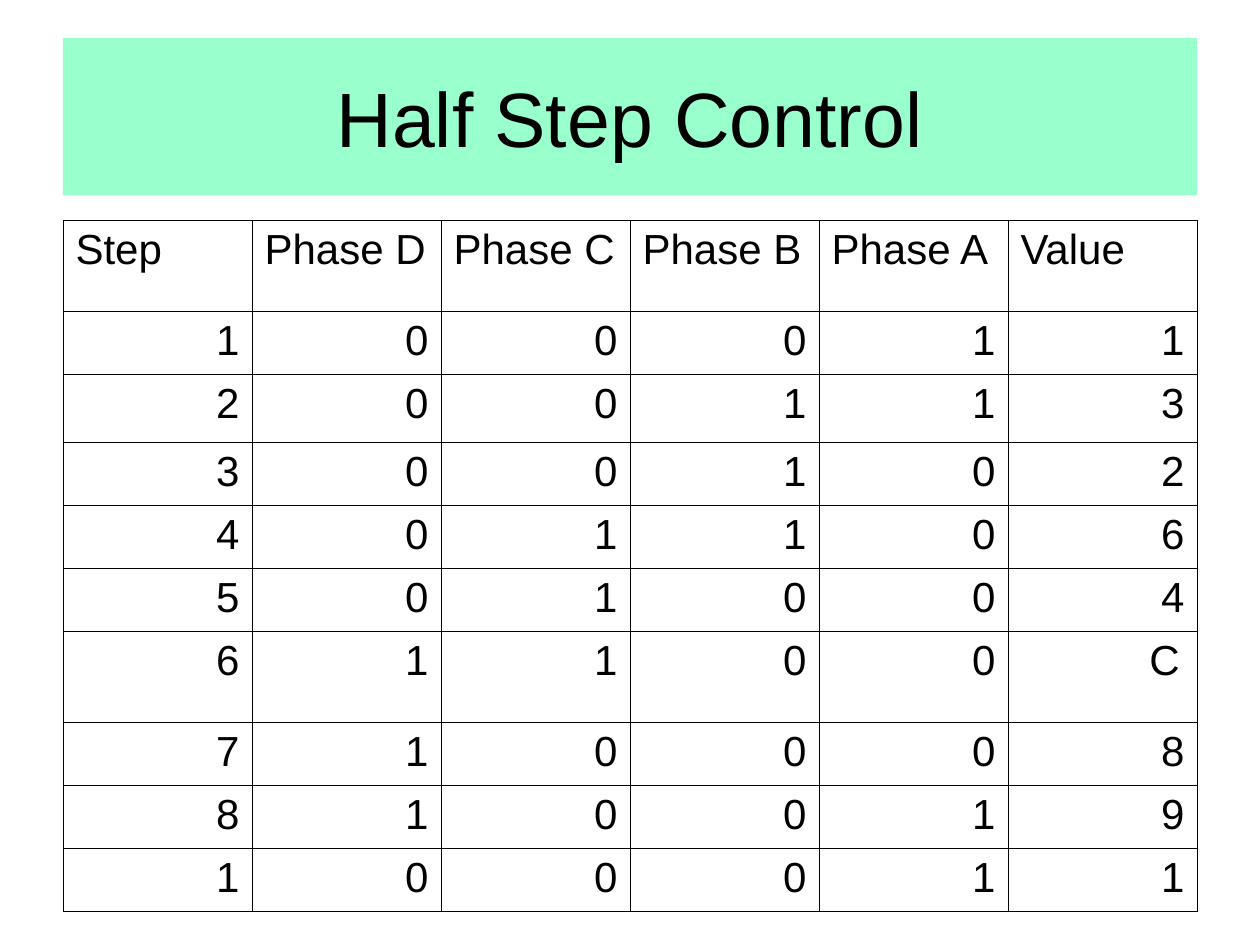
"""Build the half step control slide with its phase table."""
from lxml import etree
from pptx import Presentation
from pptx.dml.color import RGBColor
from pptx.enum.shapes import MSO_SHAPE
from pptx.enum.text import MSO_ANCHOR, PP_ALIGN
from pptx.oxml import parse_xml
from pptx.oxml.ns import qn
from pptx.util import Pt

RECTANGLE = MSO_SHAPE.RECTANGLE
MIDDLE, TOP = MSO_ANCHOR.MIDDLE, MSO_ANCHOR.TOP
LEFT, CENTER, RIGHT = PP_ALIGN.LEFT, PP_ALIGN.CENTER, PP_ALIGN.RIGHT
MINT = RGBColor(0x99, 0xFF, 0xCC)
BLACK = RGBColor(0x00, 0x00, 0x00)
NAMESPACE = "http://schemas.openxmlformats.org/drawingml/2006/main"

HEADERS = ["Step", "Phase D", "Phase C", "Phase B", "Phase A", "Value"]
PHASES = ["0001", "0011", "0010", "0110", "0100", "1100", "1000", "1001", "0001"]
ROW_HEIGHTS = [52, 36, 39, 36, 36, 36, 52, 36, 36, 36]
COLUMN_WIDTH = 108


def write_text(frame, text, size=24, align=LEFT):
    para = frame.paragraphs[0]
    para.alignment = align
    span = para.add_run()
    span.text = text
    span.font.size = Pt(size)
    span.font.name = "Arial"
    span.font.color.rgb = BLACK


def add_borders(cell):
    properties = cell._tc.get_or_add_tcPr()
    for side in ("lnL", "lnR", "lnT", "lnB"):
        line = parse_xml(f'<a:{side} xmlns:a="{NAMESPACE}"/>')
        line.set("w", str(Pt(0.45)))
        fill = etree.SubElement(line, qn("a:solidFill"))
        etree.SubElement(fill, qn("a:srgbClr")).set("val", str(BLACK))
        properties.append(line)


deck = Presentation()
deck.slide_width, deck.slide_height = Pt(720), Pt(540)
page = deck.slides.add_slide(deck.slide_layouts[6])

title = page.shapes.add_shape(RECTANGLE, Pt(36), Pt(21.6), Pt(648), Pt(90))
title.shadow.inherit = False
title.fill.solid()
title.fill.fore_color.rgb = MINT
title.line.fill.background()
title.text_frame.word_wrap = True
title.text_frame.vertical_anchor = MIDDLE
write_text(title.text_frame, "Half Step Control", size=44, align=CENTER)

rows = [HEADERS]
for index, phases in enumerate(PHASES):
    step = index % 8 + 1
    rows.append([str(step), *phases, f"{int(phases, 2):X}"])

table = page.shapes.add_table(
    len(rows), len(HEADERS), Pt(36), Pt(126),
    Pt(COLUMN_WIDTH * len(HEADERS)), Pt(sum(ROW_HEIGHTS)),
).table
table.first_row = False
table.horz_banding = False
for column in table.columns:
    column.width = Pt(COLUMN_WIDTH)

for row_index, (values, height) in enumerate(zip(rows, ROW_HEIGHTS)):
    table.rows[row_index].height = Pt(height)
    for column_index, value in enumerate(values):
        cell = table.cell(row_index, column_index)
        add_borders(cell)
        cell.fill.background()
        cell.vertical_anchor = TOP
        cell.margin_left = Pt(7.2)
        cell.margin_right = Pt(10) if value == "C" else Pt(7.2)
        cell.margin_top = cell.margin_bottom = Pt(3.6)
        write_text(cell.text_frame, value, align=RIGHT if row_index else LEFT)

deck.save("out.pptx")
